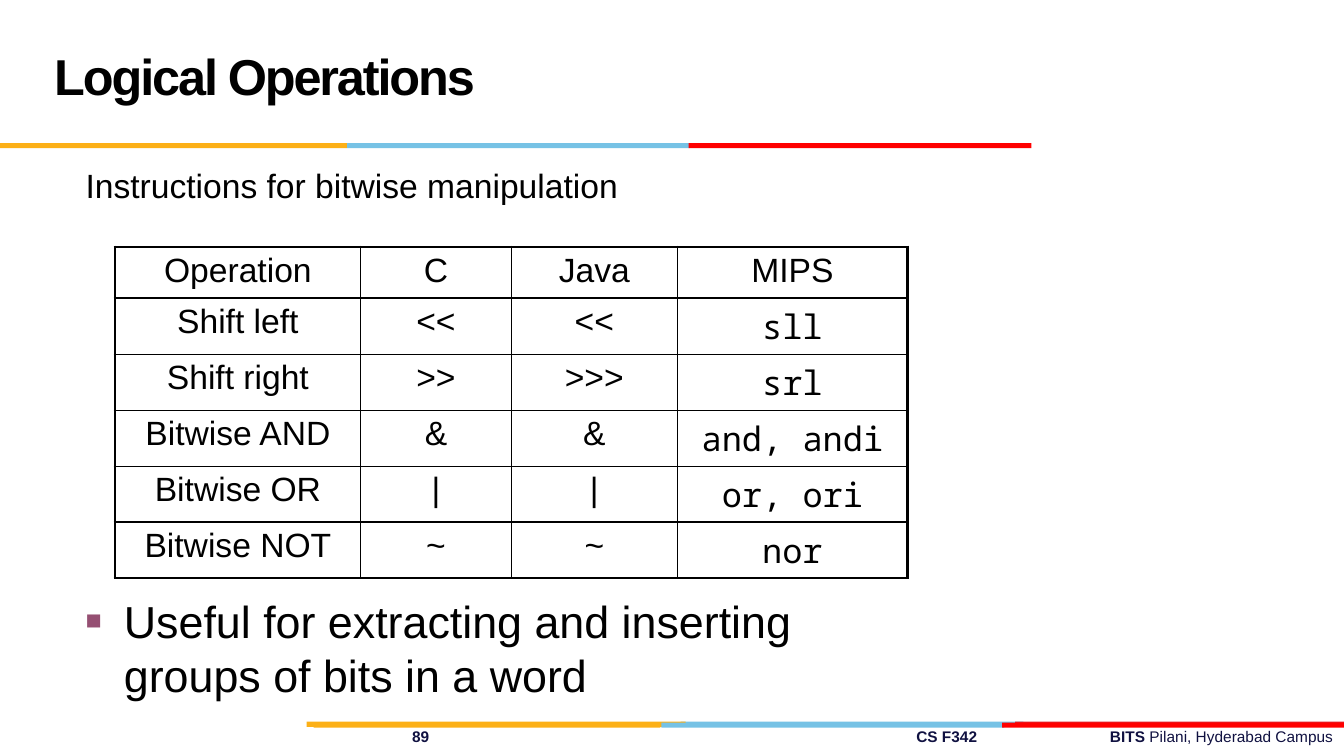
from pptx import Presentation
from pptx.dml.color import RGBColor as Rgb
from pptx.enum.shapes import MSO_SHAPE as Shape
from pptx.enum.text import MSO_ANCHOR as Anchor, PP_ALIGN as Align
from pptx.oxml.ns import qn
from pptx.util import Inches, Pt
from lxml.etree import SubElement

WIDTH, HEIGHT = Inches(13.33), Inches(7.5)
COLORS = {"text": "000000", "footer": "101141", "bullet": "954F72", "gold": "FCB017",
          "sky": "76C2E5", "crimson": "E31C24", "red": "FF0000"}
SANS, MONO = "Arial", "Noto Sans Mono"
HANG = 2.85

# Bands of coloured bars: top, then (left, width, colour), back to front
BAND_HEIGHT = 0.67
BANDS = [
    (95.47, [(50.64, 25.51, "sky"), (75.54, 24.46, "crimson"), (22.81, 28.21, "gold")]),
    (95.6, [(49.21, 25.51, "sky"), (23.33, 25.81, "gold"), (74.57, 25.43, "red")]),
    (18.93, [(25.81, 25.51, "sky"), (0, 25.81, "gold"), (51.24, 25.51, "red")]),
]

COLUMN_WIDTHS = [18.3, 11.18, 12.38, 17.1]
HEADER_HEIGHT, ROW_HEIGHT = 6.8, 7.4
OPERATIONS = [
    ("Operation", "C", "Java", "MIPS"),
    ("Shift left", "<<", "<<", "sll"),
    ("Shift right", ">>", ">>>", "srl"),
    ("Bitwise AND", "&", "&", "and, andi"),
    ("Bitwise OR", "|", "|", "or, ori"),
    ("Bitwise NOT", "~", "~", "nor"),
]


def across(percent):
    return round(WIDTH * percent / 100)


def down(percent):
    return round(HEIGHT * percent / 100)


def place(left, top, width, height):
    return across(left), down(top), across(width), down(height)


def apply(target, formats):
    for name, value in formats.items():
        setattr(target, name, value)


def add_span(para, text, size, color="text", face=SANS, bold=False):
    span = para.add_run()
    span.text = text
    apply(span.font, {"size": Pt(size), "name": face, "bold": bold})
    span.font.color.rgb = Rgb.from_string(COLORS[color])
    return span


def add_box(page, area, **formats):
    """Add a wrapping text box and return its first paragraph."""
    frame = page.shapes.add_textbox(*place(*area)).text_frame
    apply(frame, {"word_wrap": True, **formats})
    return frame.paragraphs[0]


def hang(para):
    props = para._p.get_or_add_pPr()
    props.set("marL", str(across(HANG)))
    props.set("indent", str(-across(HANG)))
    return props


def add_bullet(para):
    props = hang(para)
    color = SubElement(props, qn("a:buClr"))
    SubElement(color, qn("a:srgbClr"), val=COLORS["bullet"])
    SubElement(props, qn("a:buSzPct"), val="60000")
    SubElement(props, qn("a:buFont"), typeface=SANS)
    SubElement(props, qn("a:buChar"), char="■")


def add_tabs(para, stops):
    tabs = SubElement(para._p.get_or_add_pPr(), qn("a:tabLst"))
    for stop in stops:
        SubElement(tabs, qn("a:tab"), pos=str(across(stop)), algn="l")


def add_band(page, top, bars):
    for left, width, color in bars:
        bar = page.shapes.add_shape(Shape.RECTANGLE, *place(left, top, width, BAND_HEIGHT))
        bar.shadow.inherit = False
        bar.fill.solid()
        bar.fill.fore_color.rgb = Rgb.from_string(COLORS[color])
        bar.line.fill.background()


def add_borders(cell, weights):
    props = cell._tc.get_or_add_tcPr()
    for side, weight in zip("LRTB", weights):
        line = SubElement(props, qn(f"a:ln{side}"), w=str(Pt(weight)))
        fill = SubElement(line, qn("a:solidFill"))
        SubElement(fill, qn("a:srgbClr"), val=COLORS["text"])


def add_operations(page, left, top):
    last_row, last_column = len(OPERATIONS) - 1, len(COLUMN_WIDTHS) - 1
    area = place(left, top, sum(COLUMN_WIDTHS), HEADER_HEIGHT + last_row * ROW_HEIGHT)
    table = page.shapes.add_table(last_row + 1, last_column + 1, *area).table
    apply(table, {"first_row": False, "horz_banding": False})
    for column, width in zip(table.columns, COLUMN_WIDTHS):
        column.width = across(width)
    for i, words in enumerate(OPERATIONS):
        table.rows[i].height = down(ROW_HEIGHT if i else HEADER_HEIGHT)
        for j, word in enumerate(words):
            cell = table.cell(i, j)
            # Heavy outer frame, medium rule under the header
            add_borders(cell, (2.25 if j == 0 else 1,
                               2.25 if j == last_column else 1,
                               {0: 2.25, 1: 1.5}.get(i, 1),
                               {0: 1.5, last_row: 2.25}.get(i, 1)))
            cell.fill.background()
            para = cell.text_frame.paragraphs[0]
            para.alignment = Align.CENTER
            add_span(para, word, 24, face=MONO if i and j == last_column else SANS)


def main():
    deck = Presentation()
    apply(deck, {"slide_width": WIDTH, "slide_height": HEIGHT})
    page = deck.slides.add_slide(deck.slide_layouts[6])

    # Footer and coloured bands
    footer = add_box(page, (1.65, 95.47, 98.35, 3.87), margin_right=0)
    add_tabs(footer, [28.28, 65.79, 80.2])
    add_span(footer, "\t89\tCS F342\tBITS ", 11, "footer", bold=True)
    add_span(footer, "Pilani, Hyderabad Campus", 11, "footer")
    for top, bars in BANDS:
        add_band(page, top, bars)

    # Title
    title = add_box(page, (3.3, 2.27, 69.17, 16.67), vertical_anchor=Anchor.MIDDLE)
    title.line_spacing = Pt(36)
    heading = add_span(title, "Logical Operations", 36, bold=True)
    heading.font._element.set("spc", "-150")

    # Introduction, table and conclusion
    intro = add_box(page, (5.63, 21.2, 67.89, 10.13))
    hang(intro)
    add_span(intro, "Instructions for bitwise manipulation", 24)
    add_operations(page, 8.55, 32.67)
    conclusion = add_box(page, (5.63, 77.87, 63.77, 15.73))
    add_bullet(conclusion)
    add_span(conclusion, "Useful for extracting and inserting groups of bits in a word", 32)

    deck.save("out.pptx")


if __name__ == "__main__":
    main()
